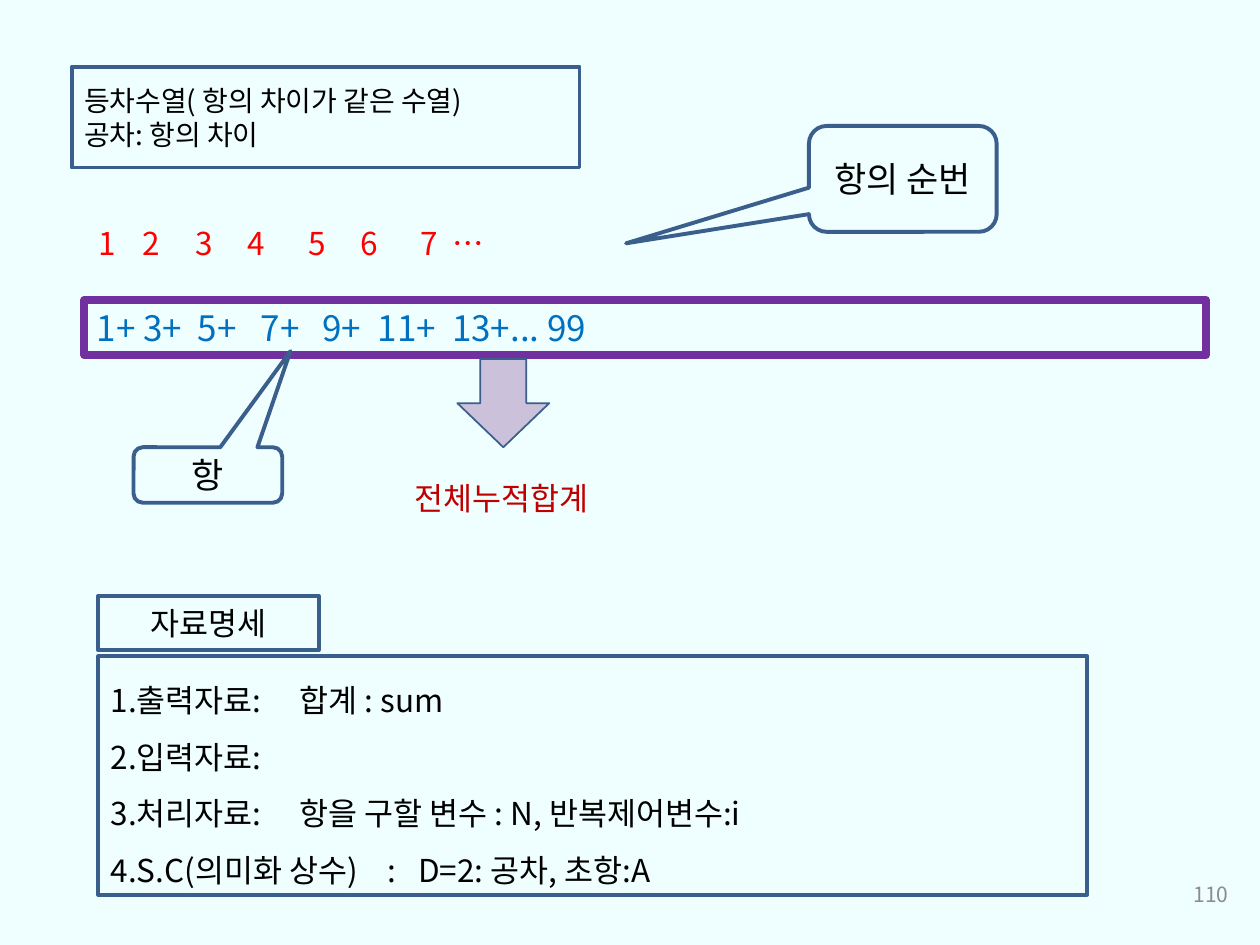
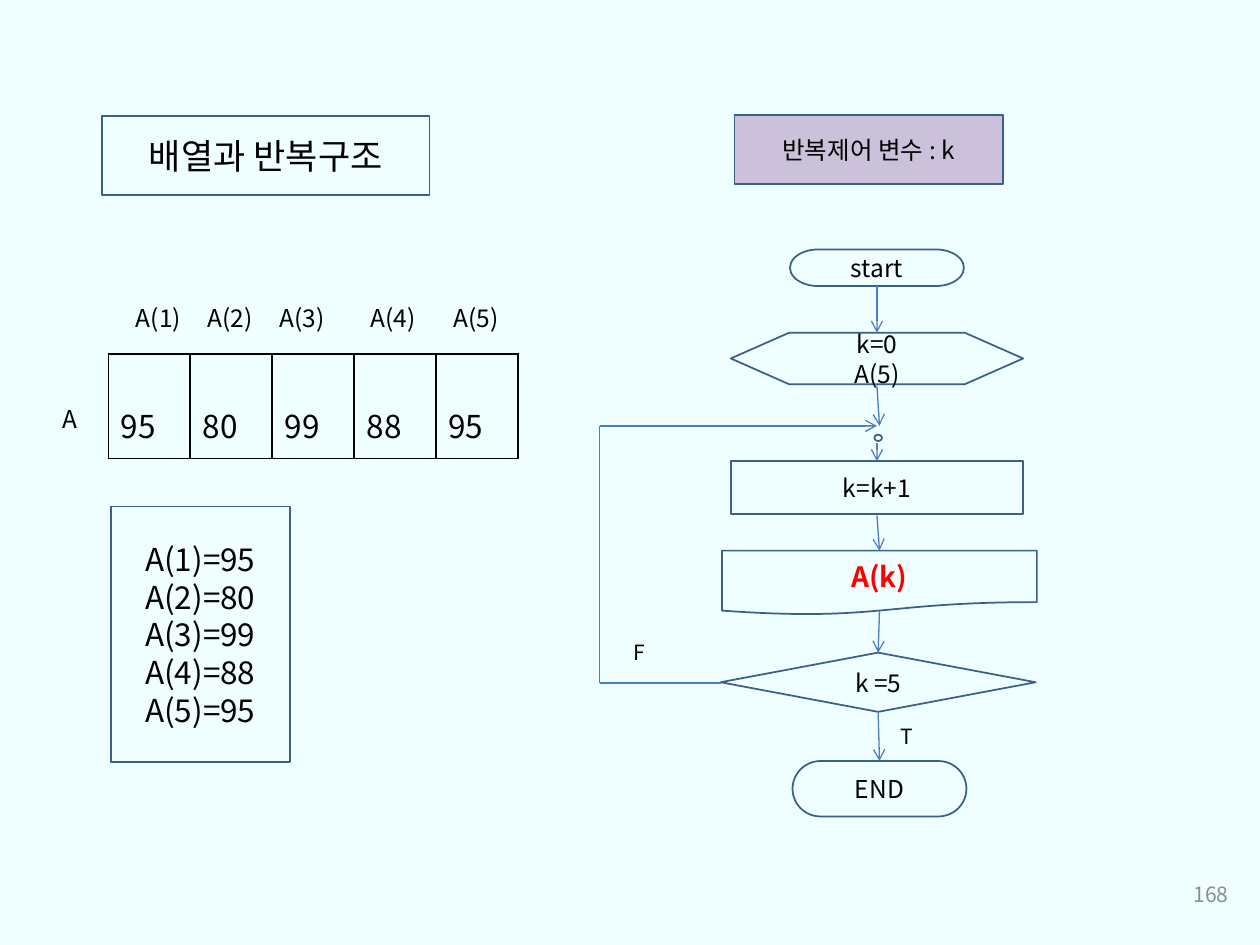
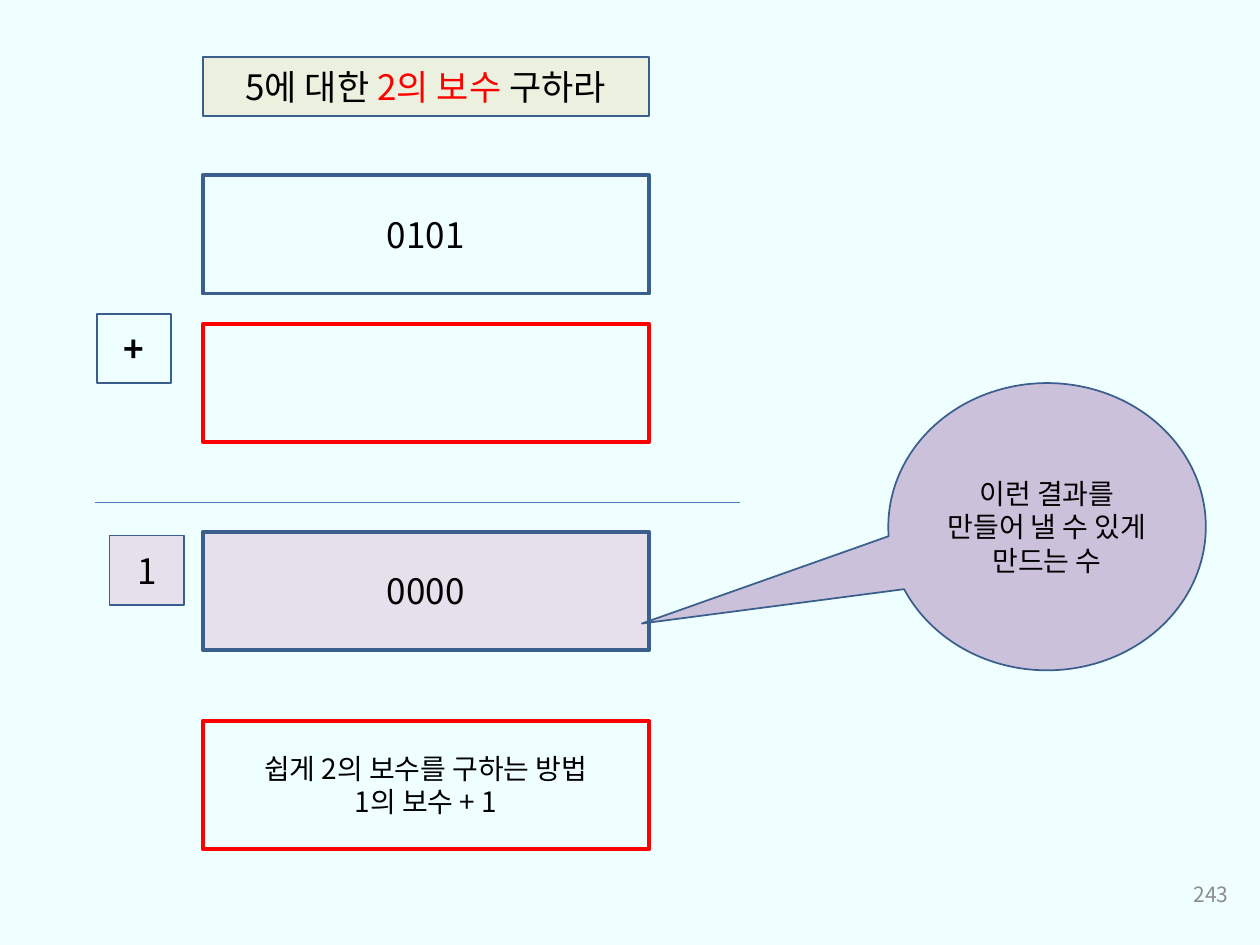
from dataclasses import dataclass
from typing import Any

from lxml import etree
from pptx import Presentation
from pptx import util as u
from pptx.dml.color import RGBColor
from pptx.enum import shapes, text
from pptx.oxml import ns

SCALE = 9144
FONT = "Noto Sans CJK KR"
COLORS = {
    "background": "EFFEFE",
    "outline": "3A5F8C",
    "connector": "4B7EBC",
    "black": "000000",
    "red": "FF0000",
    "dark_red": "C00000",
    "blue": "0070C0",
    "purple": "7030A0",
    "lavender": "CCC1DA",
    "pale_lavender": "E6E0EC",
    "pale_green": "EBF1DE",
    "gray": "8C8C8C",
}
SHAPE = shapes.MSO_SHAPE
ALIGN = text.PP_ALIGN
ANCHOR = text.MSO_ANCHOR


@dataclass(frozen=True)
class Box:
    """A preset shape with its text."""

    left: int
    top: int
    width: int
    height: int
    words: str = ""
    size: int = 20
    kind: Any = SHAPE.RECTANGLE
    fill: str = ""
    line: str = "outline"
    weight: float = 1
    color: str = "black"
    bold: bool = False
    accent: str = ""
    align: Any = ALIGN.CENTER
    anchor: Any = ANCHOR.MIDDLE
    spacing: float = 1
    tabs: tuple[int, ...] = ()
    adjust: tuple[float, ...] = ()


@dataclass(frozen=True)
class Label:
    """A text box without outline."""

    left: int
    top: int
    width: int
    height: int
    words: str
    size: int
    color: str = "black"
    tabs: tuple[int, ...] = ()


@dataclass(frozen=True)
class Link:
    """A straight line, with an arrowhead unless told otherwise."""

    start: tuple[int, int]
    end: tuple[int, int]
    arrow: bool = True


def px(length: int) -> int:
    """Turn px into EMU."""
    return u.Emu(length * SCALE)


def rgb(name: str) -> RGBColor:
    """Look up a named colour."""
    return RGBColor.from_string(COLORS[name])


def add_element(parent: Any, tag: str, **attributes: str) -> Any:
    """Append one XML element."""
    return etree.SubElement(parent, ns.qn(tag), attributes)


def write(frame: Any, words: str, *, size: int, color: str = "black", bold: bool = False,
          accent: str = "", align: Any = ALIGN.LEFT, anchor: Any = ANCHOR.TOP,
          spacing: float = 1, tabs: tuple[int, ...] = ()) -> None:
    """Fill a text frame, one paragraph a line, with the accent words in red."""
    frame.word_wrap = True
    frame.vertical_anchor = anchor
    for index, line in enumerate(words.split("\n")):
        paragraph = frame.add_paragraph() if index else frame.paragraphs[0]
        paragraph.alignment = align
        if spacing != 1:
            paragraph.line_spacing = spacing
        if tabs:
            stops = add_element(paragraph._p.get_or_add_pPr(), "a:tabLst")
            for stop in tabs:
                add_element(stops, "a:tab", pos=str(px(stop)), algn="l")
        before, middle, after = line.partition(accent) if accent else (line, "", "")
        for part, tint in ((before, color), (middle, "red"), (after, color)):
            if part:
                run = paragraph.add_run()
                run.text = part
                run.font.size = u.Pt(size)
                run.font.bold = bold
                run.font.color.rgb = rgb(tint)
                run.font.name = FONT
                add_element(run._r.get_or_add_rPr(), "a:ea", typeface=FONT)


def draw_box(slide: Any, box: Box) -> None:
    """Draw a preset shape."""
    shape = slide.shapes.add_shape(box.kind, px(box.left), px(box.top), px(box.width), px(box.height))
    shape.shadow.inherit = False
    for index, value in enumerate(box.adjust):
        shape.adjustments[index] = value
    if box.fill:
        shape.fill.solid()
        shape.fill.fore_color.rgb = rgb(box.fill)
    else:
        shape.fill.background()
    shape.line.color.rgb = rgb(box.line)
    shape.line.width = u.Pt(box.weight)
    if box.words:
        write(shape.text_frame, box.words, size=box.size, color=box.color, bold=box.bold,
              accent=box.accent, align=box.align, anchor=box.anchor,
              spacing=box.spacing, tabs=box.tabs)


def draw_label(slide: Any, label: Label) -> None:
    """Draw a plain text box."""
    shape = slide.shapes.add_textbox(px(label.left), px(label.top), px(label.width), px(label.height))
    shape.text_frame.margin_right = 0
    write(shape.text_frame, label.words, size=label.size, color=label.color, tabs=label.tabs)


def draw_link(slide: Any, link: Link) -> None:
    """Draw a straight connector."""
    connector = slide.shapes.add_connector(
        shapes.MSO_CONNECTOR.STRAIGHT, *map(px, link.start), *map(px, link.end))
    connector.line.color.rgb = rgb("connector")
    connector.line.width = u.Pt(0.75)
    if link.arrow:
        add_element(connector.line._get_or_add_ln(), "a:tailEnd", type="arrow")
    add_element(connector._element.spPr, "a:effectLst")


def draw_array(slide: Any, values: list[int]) -> None:
    """Draw the array as a one-row table."""
    cell_width, height = 65, 83
    table = slide.shapes.add_table(
        1, len(values), px(86), px(281), px(cell_width * len(values)), px(height)).table
    table.first_row = table.horz_banding = False
    for column, value in enumerate(values):
        table.columns[column].width = px(cell_width)
        cell = table.cell(0, column)
        write(cell.text_frame, str(value), size=18)
        cell.vertical_anchor = ANCHOR.BOTTOM
        cell.margin_bottom = px(9)
        properties = cell._tc.get_or_add_tcPr()
        for side in ("a:lnL", "a:lnR", "a:lnT", "a:lnB"):
            border = add_element(properties, side, w=str(u.Pt(1)))
            fill = add_element(border, "a:solidFill")
            add_element(fill, "a:srgbClr", val=COLORS["black"])
        cell.fill.background()


def add_slide(presentation: Any, number: int, items: list[Box | Label | Link]) -> Any:
    """Add a slide with its background, page number and items."""
    slide = presentation.slides.add_slide(presentation.slide_layouts[6])
    slide.background.fill.solid()
    slide.background.fill.fore_color.rgb = rgb("background")
    page = slide.shapes.add_textbox(px(752), px(690), px(233), px(40))
    write(page.text_frame, str(number), size=12, color="gray", align=ALIGN.RIGHT, anchor=ANCHOR.MIDDLE)
    draw = {Box: draw_box, Label: draw_label, Link: draw_link}
    for item in items:
        draw[type(item)](slide, item)
    return slide


def build_sequence(presentation: Any) -> None:
    """Build the arithmetic sequence slide."""
    thick = 2.25
    callout = SHAPE.ROUNDED_RECTANGULAR_CALLOUT
    data = "\n".join((
        "1.출력자료:\t합계 : sum",
        "2.입력자료:",
        "3.처리자료:\t항을 구할 변수 : N, 반복제어변수:i",
        "4.S.C(의미화 상수)\t:\tD=2: 공차, 초항:A",
    ))
    add_slide(presentation, 110, [
        Box(67, 238, 890, 44, "1+\t3+\t5+\t7+\t9+\t11+\t13+... 99", line="purple", weight=4.5,
            color="blue", align=ALIGN.LEFT, anchor=ANCHOR.TOP, tabs=(37, 80, 130, 179, 223, 282)),
        Label(68, 173, 890, 40, "1\t2\t3\t4\t5\t6\t7\t…", 18, "red",
              tabs=(35, 77, 119, 167, 208, 256, 281)),
        Label(319, 375, 189, 40, "전체누적합계", 18, "dark_red"),
        Box(363, 285, 73, 70, kind=SHAPE.DOWN_ARROW, fill="lavender"),
        Box(642, 100, 149, 84, "항의 순번", kind=callout, weight=thick, adjust=(-1.474, 0.609, 0.167)),
        Box(106, 355, 118, 44, "항", kind=callout, weight=thick, adjust=(0.556, -2.234, 0.167)),
        Box(57, 53, 403, 80, "등차수열( 항의 차이가 같은 수열)\n공차: 항의 차이", 16,
            weight=thick, align=ALIGN.LEFT),
        Box(78, 473, 175, 43, "자료명세", 18, weight=thick),
        Box(78, 521, 785, 189, data, 18, weight=thick, align=ALIGN.LEFT, spacing=1.5,
            tabs=(150, 220, 244)),
    ])


def build_array_loop(presentation: Any) -> None:
    """Build the array and loop slide."""
    values = [95, 80, 99, 88, 95]
    names = [f"A({index})" for index in range(1, len(values) + 1)]
    assignments = "\n".join(f"{name}={value}" for name, value in zip(names, values))
    slide = add_slide(presentation, 168, [
        Box(81, 92, 260, 63, "배열과 반복구조"),
        Box(583, 91, 213, 55, "반복제어 변수 : k", 14, fill="lavender"),
        *(Label(left, 236, 57, 34, name, 14) for left, name in zip((98, 155, 212, 284, 350), names)),
        Label(40, 316, 41, 34, "A", 14),
        Box(88, 402, 142, 203, assignments, 18),
        Box(580, 264, 232, 41, "k=0\nA(5)", 14, SHAPE.FLOWCHART_PREPARATION),
        Box(580, 366, 232, 42, "k=k+1", 14),
        Box(572, 518, 250, 47, "k =5", 14, SHAPE.FLOWCHART_DECISION),
        Box(573, 437, 250, 51, "A(k)", 16, SHAPE.FLOWCHART_DOCUMENT, color="red", bold=True),
        Box(629, 604, 138, 44, "END", 14, SHAPE.FLOWCHART_TERMINATOR),
        Box(627, 198, 138, 29, "start", 14, SHAPE.FLOWCHART_TERMINATOR),
        Link((696, 227), (696, 264)),
        Link((696, 306), (698, 338)),
        Link((696, 352), (696, 366)),
        Link((696, 409), (698, 437)),
        Link((698, 485), (697, 518)),
        Link((697, 566), (698, 604)),
        Link((572, 542), (476, 542), arrow=False),
        Link((476, 542), (476, 338), arrow=False),
        Link((476, 338), (696, 338)),
        Box(694, 345, 6, 5, kind=SHAPE.FLOWCHART_CONNECTOR),
        Label(705, 569, 62, 28, "T", 12),
        Label(493, 503, 62, 28, "F", 12),
    ])
    draw_array(slide, values)


def build_complement(presentation: Any) -> None:
    """Build the two's complement slide."""
    left, width, height, thick = 161, 354, 94, 2.25
    add_slide(presentation, 243, [
        Box(left, 139, width, height, "0101", weight=thick),
        Box(left, 45, width, 47, "5에 대한 2의 보수 구하라", fill="pale_green", accent="2의 보수"),
        Box(left, 257, width, height, line="red", weight=thick),
        Box(77, 249, 59, 55, "+", bold=True),
        Link((75, 399), (587, 399), arrow=False),
        Box(left, 422, width, height, "0000", fill="pale_lavender", weight=thick),
        Box(87, 425, 59, 55, "1", fill="pale_lavender"),
        Box(705, 304, 252, 228, "이런 결과를 만들어 낼 수 있게 만드는 수", 16, SHAPE.OVAL_CALLOUT,
            fill="lavender", adjust=(-1.276, 0.337)),
        Box(left, 572, width, 102, "쉽게 2의 보수를 구하는 방법\n1의 보수 + 1", 16,
            line="red", weight=thick),
    ])


def main() -> None:
    """Build and save the presentation."""
    presentation = Presentation()
    presentation.slide_width, presentation.slide_height = px(1000), px(750)
    build_sequence(presentation)
    build_array_loop(presentation)
    build_complement(presentation)
    presentation.save("out.pptx")


if __name__ == "__main__":
    main()
